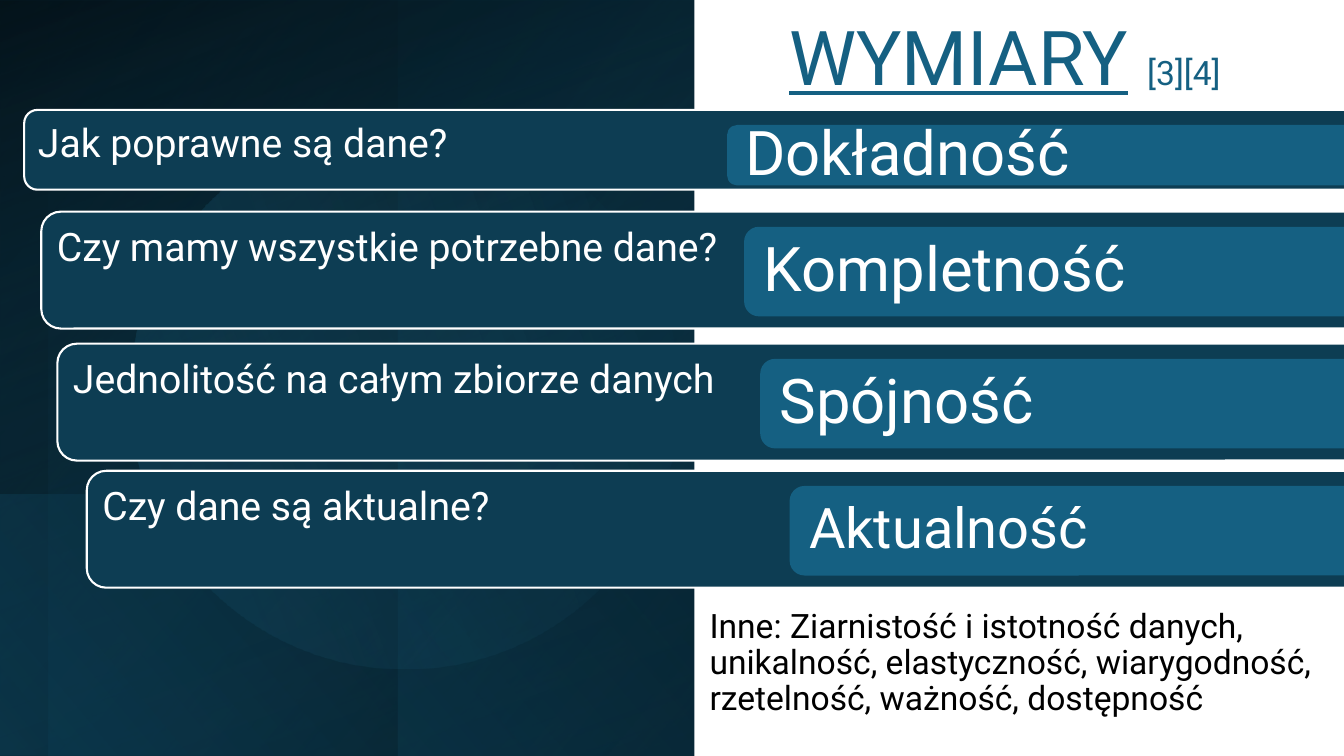
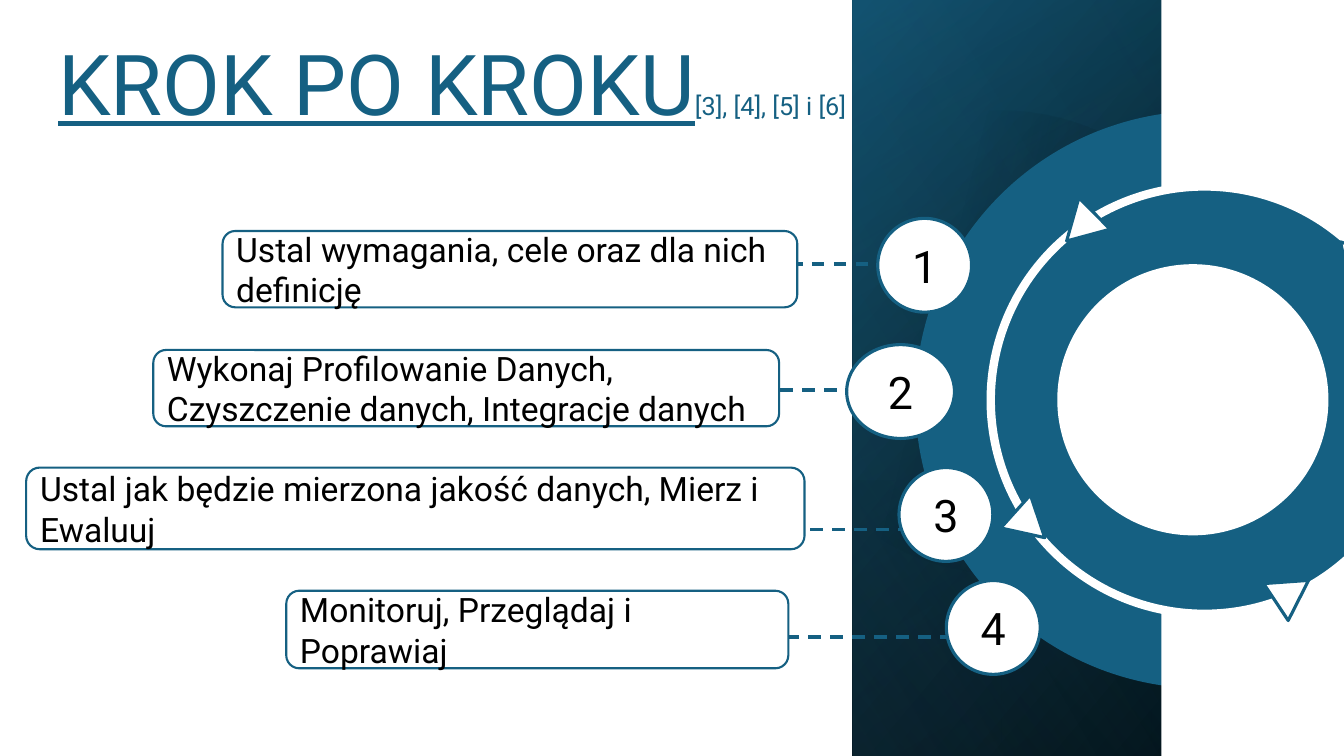
"""Build two slides on the dimensions and the steps of data quality."""
from math import cos, radians, sin
from typing import NamedTuple

from pptx import Presentation
from pptx.dml.color import RGBColor
from pptx.enum.dml import MSO_LINE
from pptx.enum.shapes import MSO_CONNECTOR, MSO_SHAPE as Kind
from pptx.enum.text import MSO_ANCHOR as Anchor, MSO_AUTO_SIZE as Fit, PP_ALIGN as Align
from pptx.oxml import parse_xml
from pptx.oxml.ns import nsdecls, qn
from pptx.util import Pt

FONT = "Roboto"
HUES = {"white": "FFFFFF", "black": "000000", "blue": "156082", "deep": "104862",
        "navy": "0D3D53", "ink": "0B3041", "sky": "46B1E1"}

ROWS = [
    ("Jak poprawne są dane?", "Dokładność", 17.3, 78.5, 57, 43.2, 44),
    ("Czy mamy wszystkie potrzebne dane?", "Kompletność", 29.5, 151.2, 83.5, 64, 44),
    ("Jednolitość na całym zbiorze danych", "Spójność", 41, 245.5, 83.5, 64, 44),
    ("Czy dane są aktualne?", "Aktualność", 62, 336.3, 83.5, 64, 40),
]
STEPS = [
    ("Ustal wymagania, cele oraz dla nich definicję",
     (159, 165, 410.5, 54.5), (627, 156, 67, 67), (548.6, 188.6)),
    ("Wykonaj Profilowanie Danych, Czyszczenie danych, Integracje danych",
     (109.5, 250, 447, 54.5), (604.8, 246.2, 77, 67), (432, 278.6)),
    ("Ustal jak będzie mierzona jakość danych, Mierz i Ewaluuj",
     (18.7, 334, 556, 58.3), (642.2, 334, 67, 67), (500.4, 378)),
    ("Monitoruj, Przeglądaj i Poprawiaj",
     (204.5, 422, 358.6, 55.4), (676, 414.7, 67, 67), (514.8, 455)),
]


class Box(NamedTuple):
    """A region in points."""
    x: float
    y: float
    w: float
    h: float

    def sub(self, x, y, w, h):
        """Return a box offset from this one."""
        return Box(self.x + x, self.y + y, w, h)

    def pts(self):
        """Return the four lengths as Pt values."""
        return [Pt(v) for v in self]


PAGE = Box(0, 0, 960, 540)


def rgb(hue):
    """Turn a colour name into an RGB value."""
    return RGBColor.from_string(HUES[hue])


def paint(shape, fill=None, line=None, width=1.5):
    """Set the fill and the outline and drop the shadow."""
    shape.shadow.inherit = False
    if fill:
        shape.fill.solid()
        shape.fill.fore_color.rgb = rgb(fill)
    else:
        shape.fill.background()
    if line:
        shape.line.color.rgb = rgb(line)
        shape.line.width = Pt(width)
    else:
        shape.line.fill.background()


def draw(slide, kind, box, fill=None, line=None, width=1.5, turn=0):
    """Add a preset shape."""
    shape = slide.shapes.add_shape(kind, *box.pts())
    paint(shape, fill, line, width)
    shape.rotation = turn
    return shape


def fade(shape, angle, stops):
    """Fill a shape with a gradient of (place, colour, opacity) stops."""
    marks = "".join(
        f'<a:gs pos="{at * 1000}"><a:srgbClr val="{HUES[hue]}">'
        f'<a:alpha val="{alpha * 1000}"/></a:srgbClr></a:gs>'
        for at, hue, alpha in stops)
    grad = parse_xml(
        f'<a:gradFill {nsdecls("a")} rotWithShape="1"><a:gsLst>{marks}</a:gsLst>'
        f'<a:lin ang="{angle * 60000}" scaled="0"/></a:gradFill>')
    props = shape.element.spPr
    props.replace(props.find(qn("a:noFill")), grad)


def veil(slide, box, turn, flip, angle, *stops, kind=Kind.RECTANGLE):
    """Add a turned or flipped gradient shape."""
    shape = draw(slide, kind, box, turn=turn)
    if flip:
        shape.element.spPr.xfrm.set("flipH", "1")
    fade(shape, angle, stops)


def write(shape, text, size, hue, align=Align.LEFT, anchor=Anchor.MIDDLE,
          space=1.0, inset=None):
    """Put one paragraph into a shape."""
    frame = shape.text_frame
    frame.word_wrap = True
    frame.vertical_anchor = anchor
    if inset:
        frame.margin_left = frame.margin_right = Pt(inset)
        frame.margin_top = frame.margin_bottom = Pt(inset)
    para = frame.paragraphs[0]
    para.text = text
    para.alignment = align
    para.line_spacing = space
    para.font.name = FONT
    para.font.size = Pt(size)
    para.font.color.rgb = rgb(hue)


def head(slide, box, runs, anchor, space):
    """Fill the title with (text, size, underline, bold) runs."""
    title = slide.shapes.title
    title.left, title.top, title.width, title.height = box.pts()
    frame = title.text_frame
    frame.word_wrap = True
    frame.auto_size = Fit.NONE
    frame.vertical_anchor = anchor
    para = frame.paragraphs[0]
    para.alignment = Align.CENTER
    para.line_spacing = space
    para.font.name = FONT
    para.font.color.rgb = rgb("blue")
    for text, size, under, bold in runs:
        run = para.add_run()
        run.text = text
        run.font.size = Pt(size)
        run.font.underline = under
        run.font.bold = bold
    slide.shapes._spTree.append(title.element)


def night(slide, box):
    """Layer the dark backdrop and its white right side."""
    veil(slide, box, 180, False, 70, (0, "black", 100), (100, "deep", 100))
    veil(slide, box.sub(34.6, 0, 925.4, 540), 180, True, 140,
         (21, "ink", 83), (100, "blue", 0))
    veil(slide, box.sub(0, 0, 284, 540), 180, False, 220,
         (0, "deep", 0), (99, "black", 41))
    veil(slide, box, 0, True, 290, (3, "deep", 0), (100, "black", 73))
    veil(slide, box.sub(352.8, -68, 540, 676), 90, True, 230,
         (3, "deep", 0), (100, "black", 27))
    veil(slide, box.sub(93.6, 85.7, 391, 393), 99.9, False, 240,
         (0, "blue", 26), (85, "sky", 0), kind=Kind.OVAL)
    veil(slide, box.sub(0, 353.5, 960, 186.5), 0, True, 220,
         (0, "deep", 50), (99, "black", 34))
    draw(slide, Kind.RECTANGLE, box.sub(496, 0, 464, 540), "white")


def row(slide, box, ask, name, tall, size):
    """Add a question bar with its named dimension."""
    bar = draw(slide, Kind.ROUNDED_RECTANGLE, box, "navy", "white")
    write(bar, ask, 28, "white", anchor=Anchor.TOP)
    tag = draw(slide, Kind.ROUNDED_RECTANGLE, box.sub(502, 10.8, 661, tall), "blue")
    write(tag, name, size, "white", space=0.9, inset=10.8)


def band(slide, box):
    """Layer the dark vertical band."""
    full = box.sub((box.w - box.h) / 2, (box.h - box.w) / 2, box.h, box.w)
    veil(slide, full, 90, True, 50, (8, "black", 100), (100, "deep", 100))
    veil(slide, full, 90, True, 30, (0, "black", 0), (99, "blue", 46))
    veil(slide, box.sub(61.4, 282, 197, 320), 90, True, 130,
         (2, "blue", 29), (100, "black", 30))
    rim = [(Pt(box.x + 106.5 + 165 * cos(radians(a))),
            Pt(box.y + 244 + 165 * sin(radians(a)))) for a in range(-135, 136, 3)]
    path = slide.shapes.build_freeform(*rim[0])
    path.add_line_segments(rim[1:], close=True)
    disc = path.convert_to_shape()
    paint(disc)
    fade(disc, 14, [(29, "black", 0), (100, "blue", 43)])
    veil(slide, full, 90, True, 120, (0, "black", 0), (99, "sky", 11))


def step(slide, box, num, text, card, dot, start):
    """Add a card joined by a dashed line to its number."""
    card, dot = box.sub(*card), box.sub(*dot)
    x, y = box.x + start[0], box.y + start[1]
    line = slide.shapes.add_connector(
        MSO_CONNECTOR.STRAIGHT, Pt(x), Pt(y), Pt(dot.x + dot.w / 2), Pt(y))
    line.line.color.rgb = rgb("blue")
    line.line.width = Pt(2.25)
    line.line.dash_style = MSO_LINE.DASH
    line.element.spPr.append(parse_xml(f'<a:effectLst {nsdecls("a")}/>'))
    disc = draw(slide, Kind.OVAL, dot, "white", "blue", 2.25)
    write(disc, str(num), 32, "black", Align.CENTER)
    note = draw(slide, Kind.ROUNDED_RECTANGLE, card, "white", "blue")
    write(note, text, 24, "black")


def ring(slide, box):
    """Add the wheel with its circling arrowheads."""
    draw(slide, Kind.OVAL, box, "blue")
    draw(slide, Kind.OVAL, box.sub(48.2, 56.2, 193.7, 193.7), "white")
    draw(slide, Kind.OVAL, box.sub(0.7, 0.7, box.w, box.h), None, "white", 6)
    for x, y, turn in [(13, 228.2, 131.9), (49, 15.8, 225.3),
                       (200.2, 275.8, 56.4), (244, 36.7, 318.3)]:
        draw(slide, Kind.ISOSCELES_TRIANGLE, box.sub(x, y, 31.7, 28),
             "white", "blue", 2.25, turn)


def sizes(slide, box):
    """Build the slide of dimensions."""
    night(slide, box)
    for ask, name, x, y, h, tall, size in ROWS:
        row(slide, box.sub(x, y, 1003, h), ask, name, tall, size)
    rest = slide.shapes.add_textbox(*box.sub(496, 414, 486, 120).pts())
    write(rest, "Inne: Ziarnistość i istotność danych, unikalność, elastyczność, "
          "wiarygodność, rzetelność, ważność, dostępność", 24, "black",
          space=0.9, inset=10.8)
    head(slide, box.sub(498.2, 15.8, 439.2, 56.2),
         [("WYMIARY", 54, True, False), (" ", 54, False, True),
          ("[3][4]", 24, False, False)], Anchor.MIDDLE, 0.9)


def guide(slide, box):
    """Build the slide of steps."""
    band(slide, box.sub(609, 0, 320, 540))
    draw(slide, Kind.OVAL, box.sub(653.8, 79.2, 412.6, 412.6), "blue")
    draw(slide, Kind.RECTANGLE, box.sub(829.5, 0, 130.5, 540), "white")
    for num, item in enumerate(STEPS, 1):
        step(slide, box, num, *item)
    ring(slide, box.sub(707, 132.5, 305.3, 305.3))
    head(slide, box.sub(7.2, 18.7, 631.5, 80),
         [("KROK PO KROKU", 60, True, False),
          ("[3], [4], [5] i [6]", 18, False, False)], Anchor.TOP, 1.0)


def main():
    """Build and save the deck."""
    deck = Presentation()
    deck.slide_width, deck.slide_height = Pt(PAGE.w), Pt(PAGE.h)
    for build in (sizes, guide):
        build(deck.slides.add_slide(deck.slide_layouts[5]), PAGE)
    deck.save("out.pptx")


if __name__ == "__main__":
    main()
